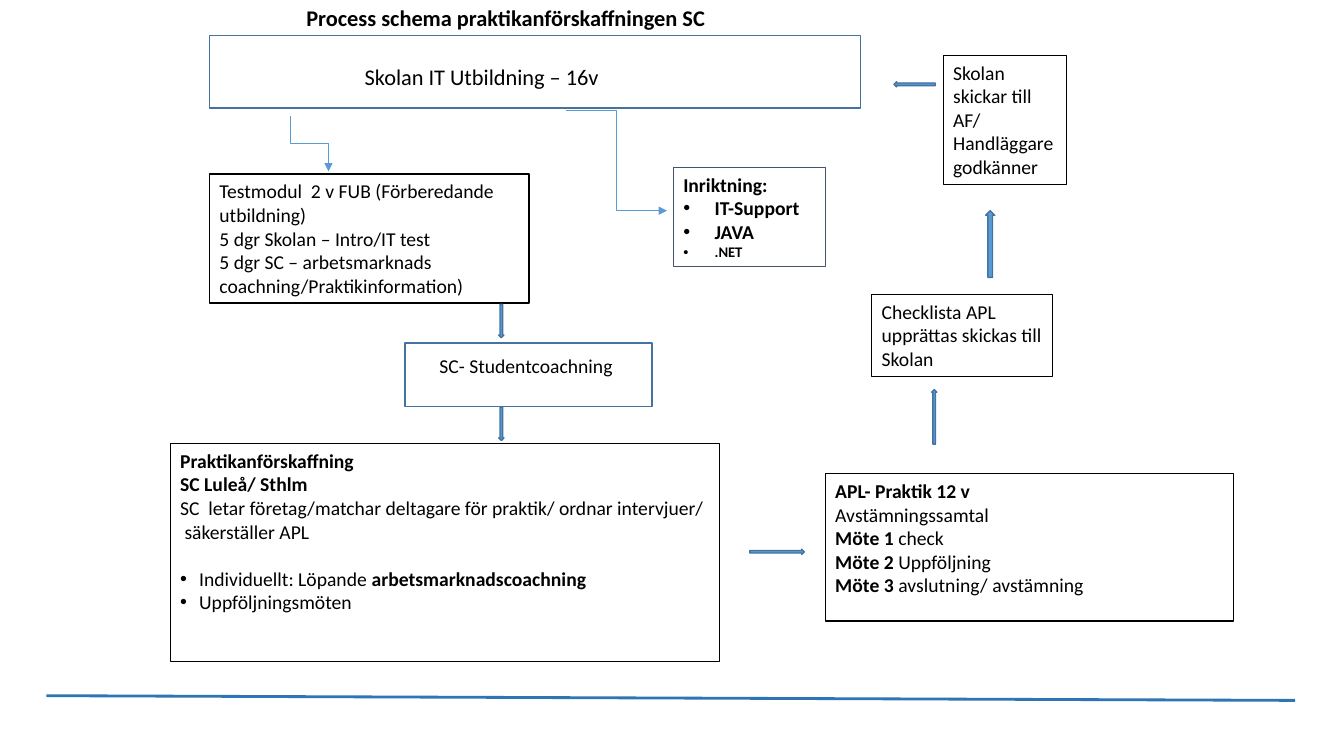
import dataclasses

import lxml.etree
import pptx
import pptx.dml.color
import pptx.enum.shapes
import pptx.enum.text
import pptx.oxml.ns
import pptx.util

Cm = pptx.util.Cm
Pt = pptx.util.Pt
qn = pptx.oxml.ns.qn
SHAPE = pptx.enum.shapes.MSO_SHAPE
CONNECTOR = pptx.enum.shapes.MSO_CONNECTOR
ANCHOR = pptx.enum.text.MSO_ANCHOR
ALIGN = pptx.enum.text.PP_ALIGN


@dataclasses.dataclass(frozen=True)
class Theme:
    font: str = "Calibri"
    heading: float = 16
    body: float = 14
    small: float = 10.5
    ink: str = "000000"
    paper: str = "FFFFFF"
    accent: str = "5B9BD5"
    border: str = "43739E"
    muted: str = "44546A"
    footer: str = "2E75B6"


THEME = Theme()


@dataclasses.dataclass(frozen=True)
class Line:
    runs: tuple
    indent: float = 0
    size: float = THEME.body
    before: float = 0


def rgb(value):
    return pptx.dml.color.RGBColor.from_string(value)


def plain(text, bold=False, **options):
    return Line(((text, bold),), **options)


def write(frame, lines, wrap=True, align=ALIGN.LEFT, color=THEME.ink):
    frame.word_wrap = wrap
    frame.auto_size = pptx.enum.text.MSO_AUTO_SIZE.NONE
    frame.vertical_anchor = ANCHOR.TOP
    frame.margin_left = frame.margin_right = Cm(0.25)
    frame.margin_top = frame.margin_bottom = Cm(0.13)
    for index, line in enumerate(lines):
        paragraph = frame.add_paragraph() if index else frame.paragraphs[0]
        paragraph.alignment = align
        paragraph.space_before = Pt(line.before)
        if line.indent:
            properties = paragraph._p.get_or_add_pPr()
            properties.set("marL", str(Cm(line.indent)))
            properties.set("indent", str(-Cm(line.indent)))
            lxml.etree.SubElement(properties, qn("a:buFont")).set("typeface", "Arial")
            lxml.etree.SubElement(properties, qn("a:buChar")).set("char", "•")
        for text, bold in line.runs:
            run = paragraph.add_run()
            run.text = text
            run.font.name = THEME.font
            run.font.size = Pt(line.size)
            run.font.bold = bold
            run.font.color.rgb = rgb(color)


class ProcessSlide:
    def __init__(self, presentation, theme):
        self.theme = theme
        self.slide = presentation.slides.add_slide(presentation.slide_layouts[5])
        self.shapes = self.slide.shapes

    def title(self, text, left, top, width, height):
        heading = self.shapes.title
        heading.left, heading.top = Cm(left), Cm(top)
        heading.width, heading.height = Cm(width), Cm(height)
        write(heading.text_frame, [plain(text, True, size=self.theme.heading)], wrap=False)

    def label(self, line, left, top, width, height, **options):
        area = self.shapes.add_textbox(Cm(left), Cm(top), Cm(width), Cm(height))
        write(area.text_frame, [line], **options)

    def block(self, kind, left, top, width, height, fill=None, border=None, weight=1):
        block = self.shapes.add_shape(kind, Cm(left), Cm(top), Cm(width), Cm(height))
        block.shadow.inherit = False
        if fill:
            block.fill.solid()
            block.fill.fore_color.rgb = rgb(fill)
        else:
            block.fill.background()
        block.line.color.rgb = rgb(border or self.theme.border)
        block.line.width = Pt(weight)
        return block

    def step(self, lines, left, top, width, height, fill=None, border=None, weight=0.75, wrap=True):
        step = self.block(SHAPE.RECTANGLE, left, top, width, height, fill,
                          border or self.theme.ink, weight)
        write(step.text_frame, lines, wrap=wrap)

    def arrow(self, kind, left, top, width, height, rotation=0):
        arrow = self.block(kind, left, top, width, height, self.theme.accent)
        arrow.rotation = rotation

    def connector(self, kind, start, end, color, weight, head=False, downward=False):
        x1, y1, x2, y2 = [Cm(value) for value in start + end]
        connector = self.shapes.add_connector(kind, x1, y1, x2, y2)
        connector.line.color.rgb = rgb(color)
        connector.line.width = Pt(weight)
        properties = connector._element.spPr
        if head:
            tail = lxml.etree.SubElement(connector.line._get_or_add_ln(), qn("a:tailEnd"))
            tail.set("type", "triangle")
        lxml.etree.SubElement(properties, qn("a:effectLst"))
        if downward:
            across, down = x2 - x1, y2 - y1
            connector.left = x1 + (across - down) // 2
            connector.top = y1 + (down - across) // 2
            connector.width, connector.height = down, across
            frame = properties.find(qn("a:xfrm"))
            frame.set("rot", "16200000")
            frame.set("flipH", "1")


def main():
    presentation = pptx.Presentation()
    presentation.slide_width, presentation.slide_height = Cm(33.87), Cm(19.05)
    page = ProcessSlide(presentation, THEME)

    page.title("Process schema praktikanförskaffningen SC", 7.47, -0.03, 10.72, 0.94)
    page.connector(CONNECTOR.STRAIGHT, (1.17, 17.53), (32.64, 17.65), THEME.footer, 2)

    page.block(SHAPE.FLOWCHART_PROCESS, 10.21, 8.64, 6.22, 1.6, THEME.paper)
    page.label(plain("SC- Studentcoachning"), 10.15, 8.79, 6.22, 0.86, align=ALIGN.CENTER)
    page.block(SHAPE.FLOWCHART_PROCESS, 5.28, 0.89, 16.41, 1.83, THEME.paper)
    page.label(plain("Skolan IT Utbildning – 16v", size=THEME.heading),
               8.94, 1.47, 6.71, 0.94, wrap=False)

    page.step([
        plain("Testmodul  2 v FUB (Förberedande utbildning)"),
        plain("5 dgr Skolan – Intro/IT test"),
        plain("5 dgr SC – arbetsmarknads coachning/Praktikinformation)"),
    ], 5.28, 4.39, 8.05, 3.25, fill=THEME.paper, weight=1)
    page.step([
        plain("Inriktning:", True),
        plain("IT-Support", True, indent=0.79),
        plain("JAVA", True, indent=0.79),
        plain(".NET", True, indent=0.79, size=THEME.small),
    ], 16.97, 4.22, 3.84, 2.49, border=THEME.muted)
    page.step([
        plain("Praktikanförskaffning", True),
        plain("SC Luleå/ Sthlm", True),
        plain("SC  letar företag/matchar deltagare för praktik/ ordnar intervjuer/"),
        plain(" säkerställer APL"),
        Line((("Individuellt: Löpande ", False), ("arbetsmarknadscoachning", True)),
             indent=0.48, before=17),
        plain("Uppföljningsmöten", indent=0.48),
    ], 4.29, 11.18, 13.84, 5.49, wrap=False)
    page.step([
        plain("APL- Praktik 12 v", True),
        plain("Avstämningssamtal"),
        *[Line(((f"Möte {number} ", True), (purpose, False))) for number, purpose in
          enumerate(("check", "Uppföljning", "avslutning/ avstämning"), 1)],
    ], 20.8, 11.94, 10.29, 3.71)
    page.step([plain("Checklista APL upprättas skickas till Skolan")], 21.97, 7.42, 4.55, 2.06)
    page.step([plain("Skolan skickar till AF/ Handläggare godkänner")], 23.77, 1.4, 3.1, 3.25)

    page.connector(CONNECTOR.ELBOW, (7.32, 2.92), (8.28, 4.32), THEME.accent, 0.5,
                   head=True, downward=True)
    page.connector(CONNECTOR.ELBOW, (14.27, 2.77), (16.81, 5.31), THEME.accent, 0.5, head=True)
    for top in (7.67, 10.26):
        page.arrow(SHAPE.DOWN_ARROW, 12.57, top, 0.13, 0.84)
    page.arrow(SHAPE.RIGHT_ARROW, 18.9, 13.84, 1.37, 0.13)
    page.arrow(SHAPE.RIGHT_ARROW, 22.86, 10.44, 1.37, 0.13, rotation=270)
    page.arrow(SHAPE.UP_ARROW, 24.84, 5.31, 0.23, 1.68)
    page.arrow(SHAPE.LEFT_ARROW, 22.53, 2.06, 1.04, 0.13)

    presentation.save("out.pptx")


if __name__ == "__main__":
    main()
